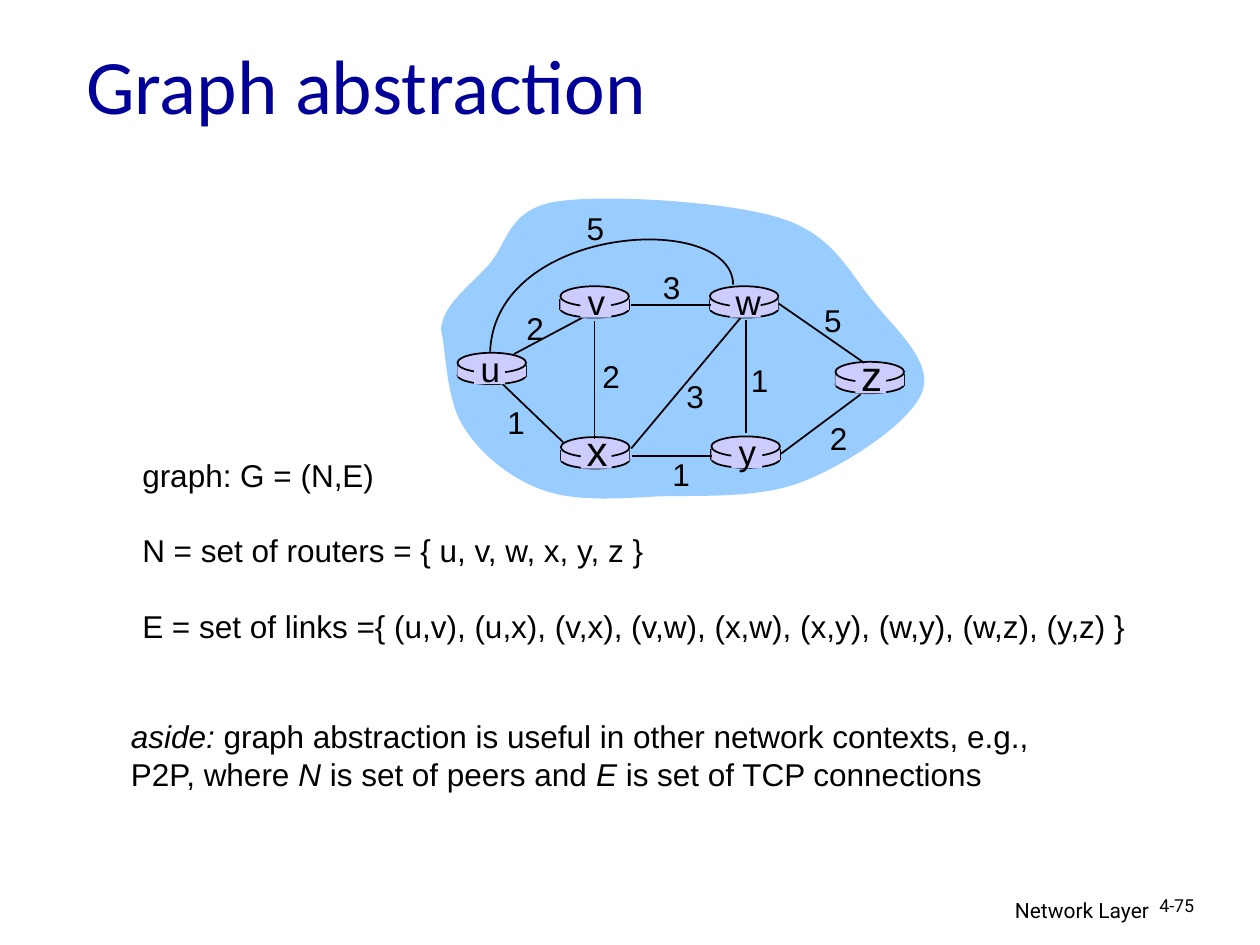
from typing import NamedTuple

from lxml import etree
from pptx import Presentation
from pptx.dml.color import RGBColor
from pptx.enum.shapes import MSO_CONNECTOR, MSO_SHAPE
from pptx.enum.text import MSO_ANCHOR, PP_ALIGN
from pptx.oxml.ns import qn
from pptx.util import Pt

OVAL, RECTANGLE = MSO_SHAPE.OVAL, MSO_SHAPE.RECTANGLE
STRAIGHT = MSO_CONNECTOR.STRAIGHT
LEFT, CENTER, RIGHT = PP_ALIGN.LEFT, PP_ALIGN.CENTER, PP_ALIGN.RIGHT
TOP, MIDDLE = MSO_ANCHOR.TOP, MSO_ANCHOR.MIDDLE

BLACK = RGBColor(0x00, 0x00, 0x00)
NAVY = RGBColor(0x00, 0x00, 0x99)
SKY = RGBColor(0x99, 0xCC, 0xFF)
LILAC = RGBColor(0xCC, 0xCC, 0xFF)

ROUTER_WIDTH = 39.2


class Router(NamedTuple):
    name: str
    left: float
    top: float
    size: float = 20
    name_offset: float = 20.6


class Link(NamedTuple):
    x1: float
    y1: float
    x2: float
    y2: float


class Cost(NamedTuple):
    value: str
    left: float
    top: float


class Run(NamedTuple):
    text: str
    italic: bool = False


ROUTERS = [
    Router("u", 261.4, 201.6, name_offset=18.8),
    Router("x", 320.5, 249.8, 24),
    Router("v", 320.2, 163.6),
    Router("w", 405.6, 163.6),
    Router("y", 406.5, 249.4),
    Router("z", 477.4, 206.8, 24),
]
LINK_BEHIND = Link(293.8, 202.3, 337, 179.3)  # u-v, partly covered by v
LINKS = [
    Link(426.2, 182.9, 426.2, 247.7),  # w-y
    Link(339.8, 183.6, 339.8, 250.6),  # v-x
    Link(360.7, 256.3, 423.4, 181.4),  # x-w
    Link(446.4, 259.2, 491.8, 225.4),  # y-z
    Link(406.8, 260.6, 361.4, 260.6),  # y-x
    Link(321.8, 252.7, 287.3, 219.6),  # x-u
    Link(406.1, 174.2, 360.7, 174.2),  # w-v
    Link(493.9, 207.4, 445, 173.5),  # z-w
]
COSTS = [
    Cost("2", 293.5, 172.8), Cost("2", 337, 200.2), Cost("1", 282.7, 226.8),
    Cost("3", 385, 211.7), Cost("1", 377, 256.3), Cost("1", 421.9, 202.6),
    Cost("2", 467, 235.7), Cost("5", 463.7, 168.5), Cost("3", 371.5, 149.8),
    Cost("5", 328, 116.2),
]
# Bezier outlines: a start point, then three points for each segment
CLOUD = [
    (252, 188.6),
    (252.7, 174.2), (268.6, 163.4), (279.4, 151.2),
    (290.2, 139), (290.2, 119.5), (318.2, 115.2),
    (345.6, 110.9), (416.2, 115.2), (445.7, 124.6),
    (475.9, 133.9), (484.6, 154.8), (498.2, 171.4),
    (511.2, 187.9), (533.5, 206.6), (527, 223.9),
    (520.6, 241.2), (484.6, 265), (459.4, 275),
    (434.2, 285.1), (401, 283), (375.8, 283.7),
    (351.4, 285.1), (328.3, 286.6), (310.3, 280.1),
    (291.6, 273.6), (274.3, 259.2), (265, 244.1),
    (254.9, 229), (254.9, 200.2), (252, 188.6),
]
ARC_U_W = [(419, 162.7), (418.3, 120.2), (283, 128.2), (280.1, 200.9)]

DEFINITIONS = [
    [Run("graph: G = (N,E)")],
    [Run("N = set of routers = { u, v, w, x, y, z }")],
    [Run("E = set of links ={ (u,v), (u,x), (v,x), (v,w), (x,w), (x,y), "
         "(w,y), (w,z), (y,z) }")],
]
ASIDE = [
    [Run("aside:", True),
     Run(" graph abstraction is useful in other network contexts, e.g.,")],
    [Run("P2P, where "), Run("N", True), Run(" is set of peers and "),
     Run("E", True), Run(" is set of TCP connections")],
]


def add_text(slide, paragraphs: list[list[Run]], left: float, top: float,
             width: float, height: float, *, size: float = 18,
             font: str = "Arial", color: RGBColor = BLACK, align=LEFT,
             anchor=TOP, wrap: bool = True, line_spacing=None,
             gap: float = 0) -> None:
    box = slide.shapes.add_textbox(Pt(left), Pt(top), Pt(width), Pt(height))
    frame = box.text_frame
    frame.word_wrap = wrap
    frame.vertical_anchor = anchor
    for index, runs in enumerate(paragraphs):
        paragraph = frame.add_paragraph() if index else frame.paragraphs[0]
        paragraph.alignment = align
        paragraph.line_spacing = line_spacing
        if index and gap:
            paragraph.space_before = Pt(gap)
        for part in runs:
            run = paragraph.add_run()
            run.text = part.text
            run.font.name, run.font.size = font, Pt(size)
            run.font.italic = part.italic
            run.font.color.rgb = color


def style_shape(shape, fill: RGBColor | None, outlined: bool) -> None:
    shape.shadow.inherit = False
    if fill is None:
        shape.fill.background()
    else:
        shape.fill.solid()
        shape.fill.fore_color.rgb = fill
    if outlined:
        shape.line.color.rgb, shape.line.width = BLACK, Pt(1)
    else:
        shape.line.fill.background()


def add_solid(slide, kind, left: float, top: float, width: float,
              height: float, outlined: bool = False) -> None:
    shape = slide.shapes.add_shape(kind, Pt(left), Pt(top), Pt(width), Pt(height))
    style_shape(shape, LILAC, outlined)


def add_link(slide, link: Link) -> None:
    connector = slide.shapes.add_connector(STRAIGHT, *(Pt(value) for value in link))
    connector.line.color.rgb, connector.line.width = BLACK, Pt(1)
    etree.SubElement(connector._element.spPr, qn("a:effectLst"))


def add_curve(slide, points: list[tuple[float, float]],
              fill: RGBColor | None = None) -> None:
    start, *others = [(Pt(x), Pt(y)) for x, y in points]
    builder = slide.shapes.build_freeform(*start)
    builder.add_line_segments(others, close=fill is not None)
    shape = builder.convert_to_shape()
    # Merge every three line segments into one Bezier segment
    lines = list(shape._element.iter(qn("a:lnTo")))
    for first in range(0, len(points) - 1, 3):
        segment = lines[first:first + 3]
        bezier = etree.Element(qn("a:cubicBezTo"))
        segment[0].addprevious(bezier)
        for line in segment:
            bezier.append(line[0])
            line.getparent().remove(line)
    style_shape(shape, fill, outlined=fill is None)


def add_router(slide, router: Router) -> None:
    left, top = router.left, router.top
    add_solid(slide, OVAL, left, top + 7.9, ROUTER_WIDTH, 10, outlined=True)
    for x in (left, left + ROUTER_WIDTH):
        add_link(slide, Link(x, top + 7.2, x, top + 13.6))
    add_solid(slide, RECTANGLE, left, top + 7.2, ROUTER_WIDTH, 6.4)
    add_solid(slide, OVAL, left, top, ROUTER_WIDTH, 11.5, outlined=True)


def add_router_name(slide, router: Router) -> None:
    center = router.left + router.name_offset
    add_solid(slide, RECTANGLE, center - 9.2, router.top + 1.4, 17.6, 16.6)
    add_text(slide, [[Run(router.name)]], center - 13, router.top + 13.3 - router.size,
             26, router.size * 1.2 + 7.2, size=router.size, align=CENTER, wrap=False)


def main() -> None:
    presentation = Presentation()
    presentation.slide_width, presentation.slide_height = Pt(720), Pt(540)
    slide = presentation.slides.add_slide(presentation.slide_layouts[6])

    # Footer
    add_text(slide, [[Run("Network Layer")]], 435.6, 509.3, 228.2, 22.3,
             size=12, font="Roboto", align=RIGHT)
    add_text(slide, [[Run("4-75")]], 655.4, 509, 53.3, 21.6,
             size=10.2, font="Roboto", line_spacing=0.9)

    # Network graph
    add_curve(slide, CLOUD, SKY)
    add_link(slide, LINK_BEHIND)
    for router in ROUTERS:
        add_router(slide, router)
    for link in LINKS:
        add_link(slide, link)
    add_curve(slide, ARC_U_W)
    for router in ROUTERS:
        add_router_name(slide, router)
    for cost in COSTS:
        add_text(slide, [[Run(cost.value)]], cost.left, cost.top, 24.5, 28.8,
                 align=CENTER, wrap=False)

    # Title and explanations
    add_text(slide, [[Run("Graph abstraction")]], 42.2, 16.6, 612, 62.6,
             size=44, font="Calibri", color=NAVY, anchor=MIDDLE)
    add_text(slide, DEFINITIONS, 74.2, 257, 582.5, 115.2,
             line_spacing=Pt(21.6), gap=21.6)
    add_text(slide, ASIDE, 67.7, 406.1, 578.2, 50.4, line_spacing=Pt(21.6))

    presentation.save("out.pptx")


if __name__ == "__main__":
    main()
